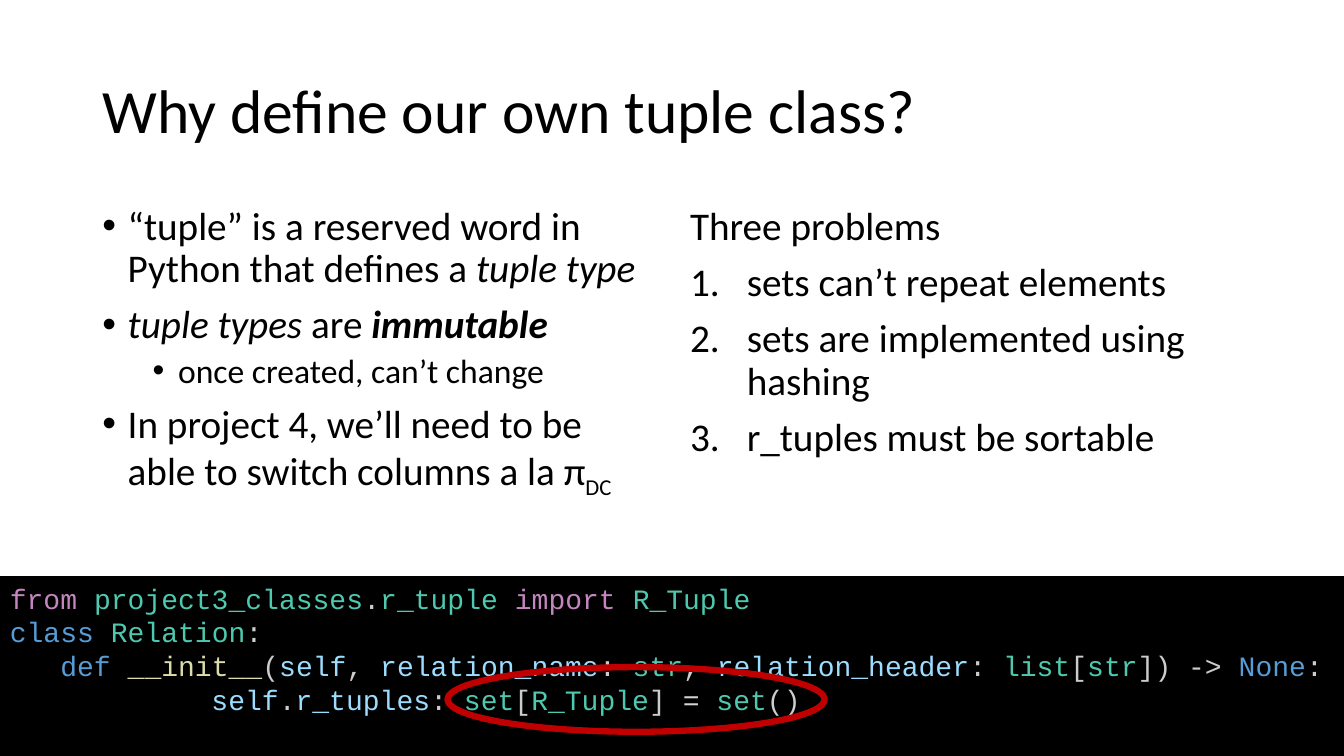
from lxml.etree import SubElement
from pptx import Presentation
from pptx.dml.color import RGBColor
from pptx.enum.shapes import MSO_SHAPE as Shape
from pptx.enum.text import MSO_ANCHOR as Anchor, PP_ALIGN as Align
from pptx.oxml.ns import qn
from pptx.util import Cm, Pt

BLACK = RGBColor(0x00, 0x00, 0x00)
RED = RGBColor(0xC0, 0x00, 0x00)
KEYWORD = RGBColor(0x56, 0x9C, 0xD6)
IMPORT = RGBColor(0xC5, 0x86, 0xC0)
TYPE = RGBColor(0x4E, 0xC9, 0xB0)
FUNCTION = RGBColor(0xDC, 0xDC, 0xAA)
VARIABLE = RGBColor(0x9C, 0xDC, 0xFE)
PUNCTUATION = RGBColor(0xCC, 0xCC, 0xCC)
OPERATOR = RGBColor(0xD4, 0xD4, 0xD4)

TITLE = "Why define our own tuple class?"

# Each paragraph: style name, then (text, emphasis) runs
REASONS = [
    ("bullet", [("“tuple” is a reserved word in Python that defines a ", ""),
                ("tuple type", "italic")]),
    ("bullet", [("tuple types ", "italic"), ("are ", ""),
                ("immutable", "bold italic")]),
    ("sub-bullet", [("once created, can’t change", "")]),
    ("bullet", [("In project 4, we’ll need to be able to switch columns a la π", ""),
                ("DC", "subscript")]),
]
PROBLEMS = [
    ("plain", [("Three problems", "")]),
    ("number", [("sets can’t repeat elements", "")]),
    ("number", [("sets are implemented using hashing", "")]),
    ("number", [("r_tuples must be sortable", "")]),
]
# Each code line: left margin (cm), then (text, color) tokens
CODE = [
    (0, [("from ", IMPORT), ("project3_classes", TYPE), (".", PUNCTUATION),
         ("r_tuple ", TYPE), ("import ", IMPORT), ("R_Tuple", TYPE)]),
    (0, [("class ", KEYWORD), ("Relation", TYPE), (":", PUNCTUATION)]),
    (0, [("   def ", KEYWORD), ("__init__", FUNCTION), ("(", PUNCTUATION),
         ("self", VARIABLE), (", ", PUNCTUATION), ("relation_name", VARIABLE),
         (": ", PUNCTUATION), ("str", TYPE), (", ", PUNCTUATION),
         ("relation_header", VARIABLE), (": ", PUNCTUATION), ("list", TYPE),
         ("[", PUNCTUATION), ("str", TYPE), ("]) -> ", PUNCTUATION),
         ("None", KEYWORD), (":", PUNCTUATION)]),
    (5.08, [("self", VARIABLE), (".", PUNCTUATION), ("r_tuples", VARIABLE),
            (": ", PUNCTUATION), ("set", TYPE), ("[", PUNCTUATION),
            ("R_Tuple", TYPE), ("] ", PUNCTUATION), ("= ", OPERATOR),
            ("set", TYPE), ("()", PUNCTUATION)]),
]

# Style: left margin (cm), hanging indent (cm), space before, size, marker
STYLES = {
    "plain": (0, 0, 10, 28, None),
    "bullet": (0.64, 0.64, 10, 28, ("a:buChar", {"char": "•"})),
    "sub-bullet": (1.91, 0.64, 5, 24, ("a:buChar", {"char": "•"})),
    "number": (1.43, 1.43, 10, 28, ("a:buAutoNum", {"type": "arabicPeriod"})),
}

WIDTH, HEIGHT = 33.87, 19.05
MARGIN = 2.33
COLUMN_WIDTH, COLUMN_GAP = 14.4, 0.41
COLUMN_TOP, COLUMN_HEIGHT = 5.07, 9.4
CODE_TOP = 14.52


def paragraphs_for(frame, items):
    """Yield a paragraph of the frame for each item."""
    for index, item in enumerate(items):
        yield (frame.add_paragraph() if index else frame.paragraphs[0]), item


def set_indent(paragraph, margin, hanging=0):
    properties = paragraph._p.get_or_add_pPr()
    properties.set("marL", str(Cm(margin)))
    properties.set("indent", str(-Cm(hanging)))
    return properties


def add_text_box(slide, left, top, width, height):
    frame = slide.shapes.add_textbox(Cm(left), Cm(top), Cm(width), Cm(height)).text_frame
    frame.word_wrap = True
    return frame


def set_font(paragraph, name, size):
    paragraph.font.name = name
    paragraph.font.size = Pt(size)


def add_title(slide):
    frame = add_text_box(slide, MARGIN, 1.01, WIDTH - 2 * MARGIN, 3.68)
    frame.vertical_anchor = Anchor.MIDDLE
    paragraph = frame.paragraphs[0]
    paragraph.text = TITLE
    paragraph.line_spacing = 0.9
    set_font(paragraph, "Calibri", 44)
    paragraph.font.color.rgb = BLACK


def add_column(slide, position, content):
    left = MARGIN + position * (COLUMN_WIDTH + COLUMN_GAP)
    frame = add_text_box(slide, left, COLUMN_TOP, COLUMN_WIDTH, COLUMN_HEIGHT)
    for paragraph, (style, runs) in paragraphs_for(frame, content):
        margin, hanging, space_before, size, marker = STYLES[style]
        properties = set_indent(paragraph, margin, hanging)
        paragraph.line_spacing = 0.9
        is_first = paragraph._p is frame.paragraphs[0]._p
        paragraph.space_before = Pt(0 if is_first else space_before)
        if marker:
            tag, attributes = marker
            if tag == "a:buChar":
                SubElement(properties, qn("a:buFont"), typeface="Arial")
            SubElement(properties, qn(tag), attributes)
        set_font(paragraph, "Calibri", size)
        paragraph.font.color.rgb = BLACK
        for text, emphasis in runs:
            run = paragraph.add_run()
            run.text = text
            if "bold" in emphasis:
                run.font.bold = True
            if "italic" in emphasis:
                run.font.italic = True
            if emphasis == "subscript":
                run._r.get_or_add_rPr().set("baseline", "-25000")


def add_code(slide):
    panel = slide.shapes.add_shape(
        Shape.RECTANGLE, 0, Cm(CODE_TOP), Cm(WIDTH), Cm(HEIGHT - CODE_TOP))
    panel.shadow.inherit = False
    panel.fill.solid()
    panel.fill.fore_color.rgb = BLACK
    panel.line.fill.background()
    frame = panel.text_frame
    frame.word_wrap = False
    frame.vertical_anchor = Anchor.TOP
    for paragraph, (margin, tokens) in paragraphs_for(frame, CODE):
        paragraph.alignment = Align.LEFT
        set_indent(paragraph, margin)
        set_font(paragraph, "Courier New", 20)
        for text, color in tokens:
            run = paragraph.add_run()
            run.text = text
            run.font.color.rgb = color


def add_highlight(slide):
    ring = slide.shapes.add_shape(Shape.OVAL, Cm(11.28), Cm(16.81), Cm(9.5), Cm(1.63))
    ring.shadow.inherit = False
    ring.fill.background()
    ring.line.color.rgb = RED
    ring.line.width = Pt(4.5)


def main():
    presentation = Presentation()
    presentation.slide_width, presentation.slide_height = Cm(WIDTH), Cm(HEIGHT)
    slide = presentation.slides.add_slide(presentation.slide_layouts[6])
    add_title(slide)
    for position, content in enumerate((REASONS, PROBLEMS)):
        add_column(slide, position, content)
    add_code(slide)
    add_highlight(slide)
    presentation.save("out.pptx")


if __name__ == "__main__":
    main()
